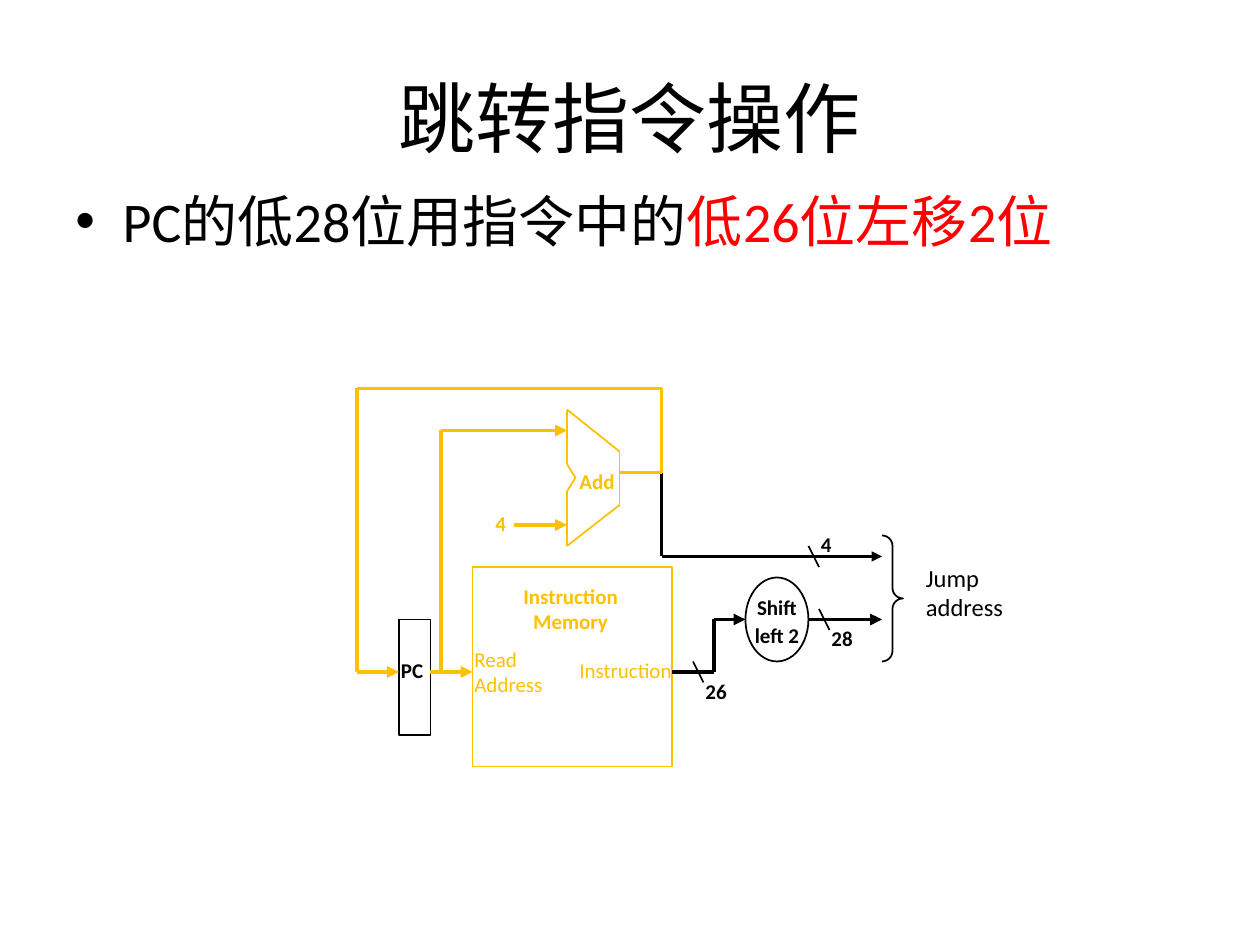
import itertools
from dataclasses import dataclass

import pptx
import pptx.dml.color
import pptx.enum.shapes
import pptx.enum.text
import pptx.oxml
import pptx.oxml.ns
import pptx.util

Pt = pptx.util.Pt
Align = pptx.enum.text.PP_ALIGN
Anchor = pptx.enum.text.MSO_ANCHOR
Fit = pptx.enum.text.MSO_AUTO_SIZE
Kind = pptx.enum.shapes.MSO_SHAPE

SCALE = 7620  # EMU in one px, 120 px to the inch
FONT = "Calibri"
BLACK, GOLD, RED = "000000", "FFC000", "FF0000"


@dataclass
class Wire:
    points: list[tuple[int, int]]
    color: str = GOLD
    width: float = 2.25
    arrow: bool = False


@dataclass
class Label:
    box: tuple[int, int, int, int]
    lines: list[str]
    color: str = BLACK
    size: int = 12
    bold: bool = True
    align: Align = Align.LEFT


@dataclass
class Block:
    kind: Kind
    box: tuple[int, int, int, int]
    color: str = BLACK


def px(n: int) -> int:
    return pptx.util.Emu(n * SCALE)


def rgb(code: str) -> pptx.dml.color.RGBColor:
    return pptx.dml.color.RGBColor.from_string(code)


def put(item, form: dict) -> None:
    for name, value in form.items():
        setattr(item, name, value)


def add_xml(parent, tag: str, **attrs: str) -> None:
    node = pptx.oxml.parse_xml(f"<a:{tag} {pptx.oxml.ns.nsdecls('a')}/>")
    put_attrs = node.set
    for name, value in attrs.items():
        put_attrs(name, value)
    parent.append(node)


def draw_wire(shapes, wire: Wire) -> None:
    pairs = list(itertools.pairwise(wire.points))
    for i, (start, end) in enumerate(pairs, 1):
        line = shapes.add_connector(
            pptx.enum.shapes.MSO_CONNECTOR.STRAIGHT, *map(px, start + end))
        line.line.color.rgb = rgb(wire.color)
        line.line.width = Pt(wire.width)
        if wire.arrow and i == len(pairs):
            add_xml(line.line._get_or_add_ln(), "tailEnd", type="triangle")
        add_xml(line._element.spPr, "effectLst")


def draw_block(shapes, block: Block) -> None:
    shape = shapes.add_shape(block.kind, *map(px, block.box))
    shape.shadow.inherit = False
    shape.fill.background()
    shape.line.color.rgb = rgb(block.color)
    shape.line.width = Pt(1)
    if block.kind == Kind.RIGHT_BRACE:
        shape.adjustments[0] = shape.adjustments[1] = 0.5


def add_run(para, text: str, size: int, color: str, bold: bool = False) -> None:
    run = para.add_run()
    run.text = text
    put(run.font, {"name": FONT, "size": Pt(size), "bold": bold})
    run.font.color.rgb = rgb(color)


def draw_label(shapes, label: Label, frame_form: dict, para_form: dict):
    frame = shapes.add_textbox(*map(px, label.box)).text_frame
    put(frame, frame_form)
    for i, text in enumerate(label.lines):
        para = frame.add_paragraph() if i else frame.paragraphs[0]
        put(para, {"alignment": label.align} | para_form)
        add_run(para, text, label.size, label.color, label.bold)
    return frame


ADDER = Wire([(540, 390), (590, 430), (590, 481), (540, 520),
              (540, 468), (548, 455), (540, 442), (540, 390)], width=1)

BLOCKS = [
    Block(Kind.RECTANGLE, (450, 540, 190, 190), GOLD),
    Block(Kind.RECTANGLE, (380, 590, 30, 110)),
    Block(Kind.OVAL, (710, 550, 60, 80)),
    Block(Kind.RIGHT_BRACE, (840, 510, 20, 120)),
]

WIRES = [
    # Jump address paths
    Wire([(630, 450), (630, 530), (840, 530)], BLACK, 1.5, True),
    Wire([(640, 640), (680, 640), (680, 590), (710, 590)], BLACK, arrow=True),
    Wire([(770, 590), (840, 590)], BLACK, arrow=True),
    # PC, adder and feedback
    Wire([(410, 640), (450, 640)], arrow=True),
    Wire([(420, 640), (420, 410), (540, 410)], arrow=True),
    Wire([(490, 500), (540, 500)], arrow=True),
    Wire([(590, 450), (630, 450), (630, 370), (340, 370),
          (340, 640), (380, 640)], arrow=True),
]
# Bus width slashes
WIRES += [Wire([(x, y), (x + 10, y + 20)], BLACK, 1)
          for x, y in [(770, 520), (660, 630), (780, 580)]]

LABELS = [
    Label((440, 610, 90, 60), ["Read", "Address"], GOLD, bold=False),
    Label((540, 620, 116, 36), ["Instruction"], GOLD, bold=False),
    Label((486, 550, 115, 60), ["Instruction", "Memory"], GOLD,
          align=Align.CENTER),
    Label((540, 440, 59, 36), ["Add"], GOLD),
    Label((370, 620, 52, 36), ["PC"]),
    Label((460, 480, 35, 36), ["4"], GOLD),
    Label((870, 530, 107, 68), ["Jump", "address"], size=14, bold=False),
    Label((660, 640, 47, 36), ["26"]),
    Label((770, 500, 35, 36), ["4"]),
    Label((780, 590, 47, 36), ["28"]),
]
SHIFT = Label((710, 560, 60, 60), ["Shift", "left 2"], align=Align.CENTER)
TITLE = Label((60, 36, 1080, 150), ["跳转指令操作"], size=44, bold=False,
              align=Align.CENTER)
POINT = Label((60, 172, 1070, 71), ["PC的低28位用指令中的"], size=32, bold=False)

GROW = {"word_wrap": False, "auto_size": Fit.SHAPE_TO_FIT_TEXT}
TIGHT = {"word_wrap": False, "margin_left": px(2), "margin_right": px(2),
         "margin_top": px(4), "margin_bottom": px(4)}


def main() -> None:
    deck = pptx.Presentation()
    put(deck, {"slide_width": px(1200), "slide_height": px(900)})
    shapes = deck.slides.add_slide(deck.slide_layouts[6]).shapes

    # Title and bullet
    draw_label(shapes, TITLE,
               {"word_wrap": True, "vertical_anchor": Anchor.MIDDLE}, {})
    para = draw_label(shapes, POINT, {"word_wrap": True},
                      {"space_before": Pt(6.4)}).paragraphs[0]
    add_run(para, "低26位左移2位", POINT.size, RED)
    props = para._p.get_or_add_pPr()
    props.set("marL", str(px(45)))
    props.set("indent", str(px(-45)))
    add_xml(props, "buFont", typeface="Arial")
    add_xml(props, "buChar", char="•")

    # Datapath
    draw_wire(shapes.add_group_shape().shapes, ADDER)
    for block in BLOCKS:
        draw_block(shapes, block)
    for wire in WIRES:
        draw_wire(shapes, wire)
    for label in LABELS:
        draw_label(shapes, label, GROW, {})
    draw_label(shapes, SHIFT, TIGHT, {"line_spacing": Pt(16)})

    deck.save("out.pptx")


if __name__ == "__main__":
    main()
